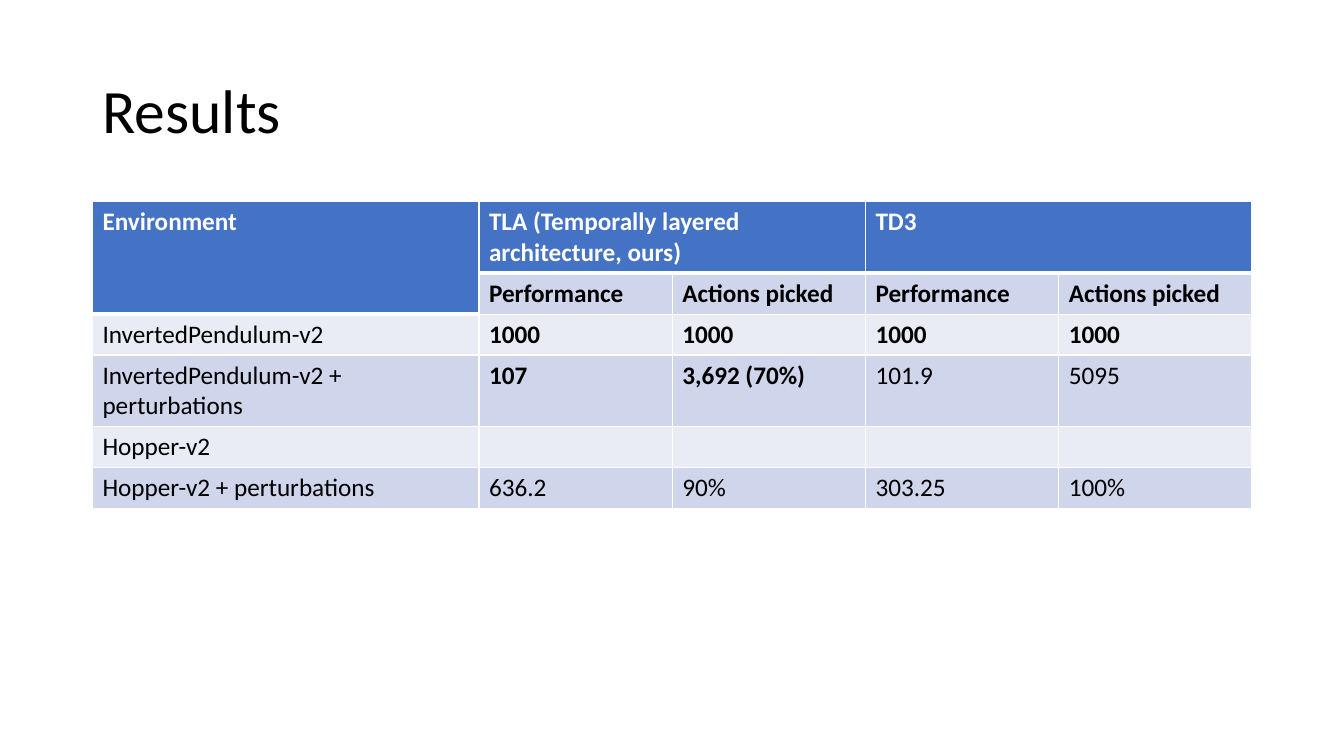
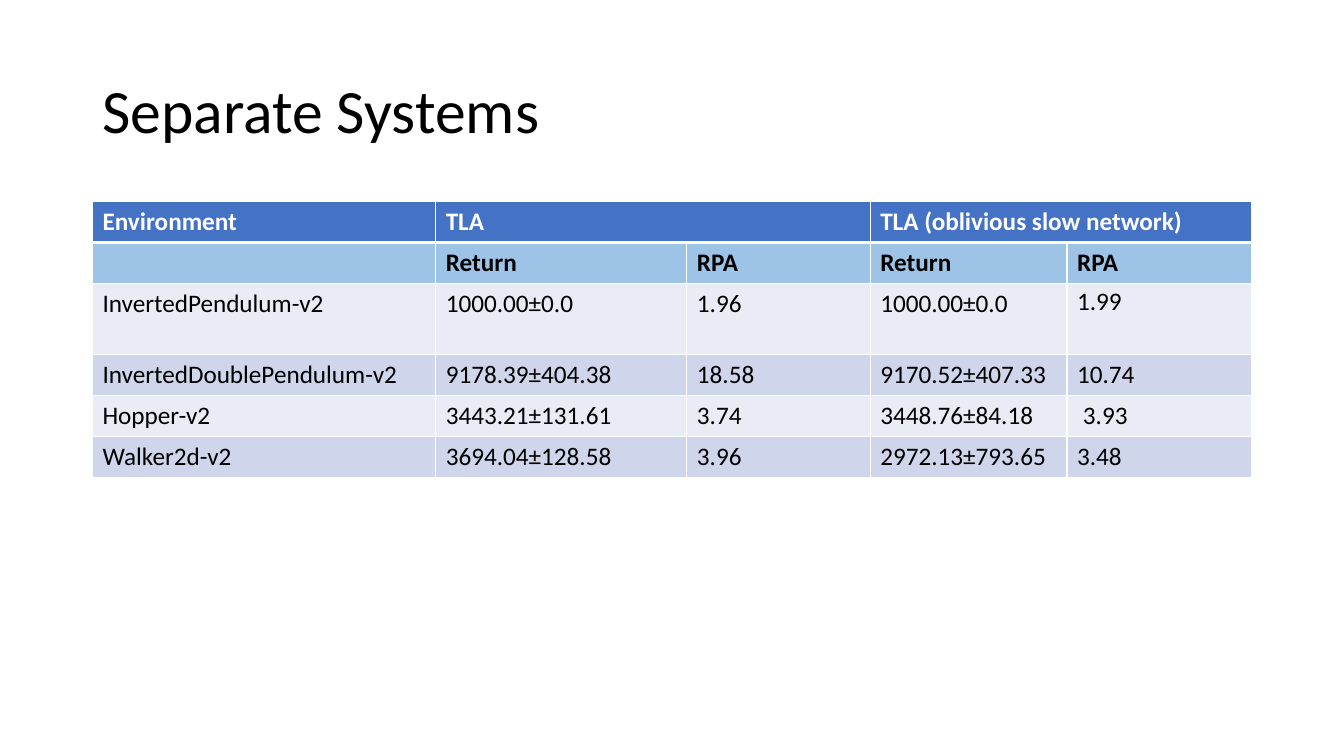
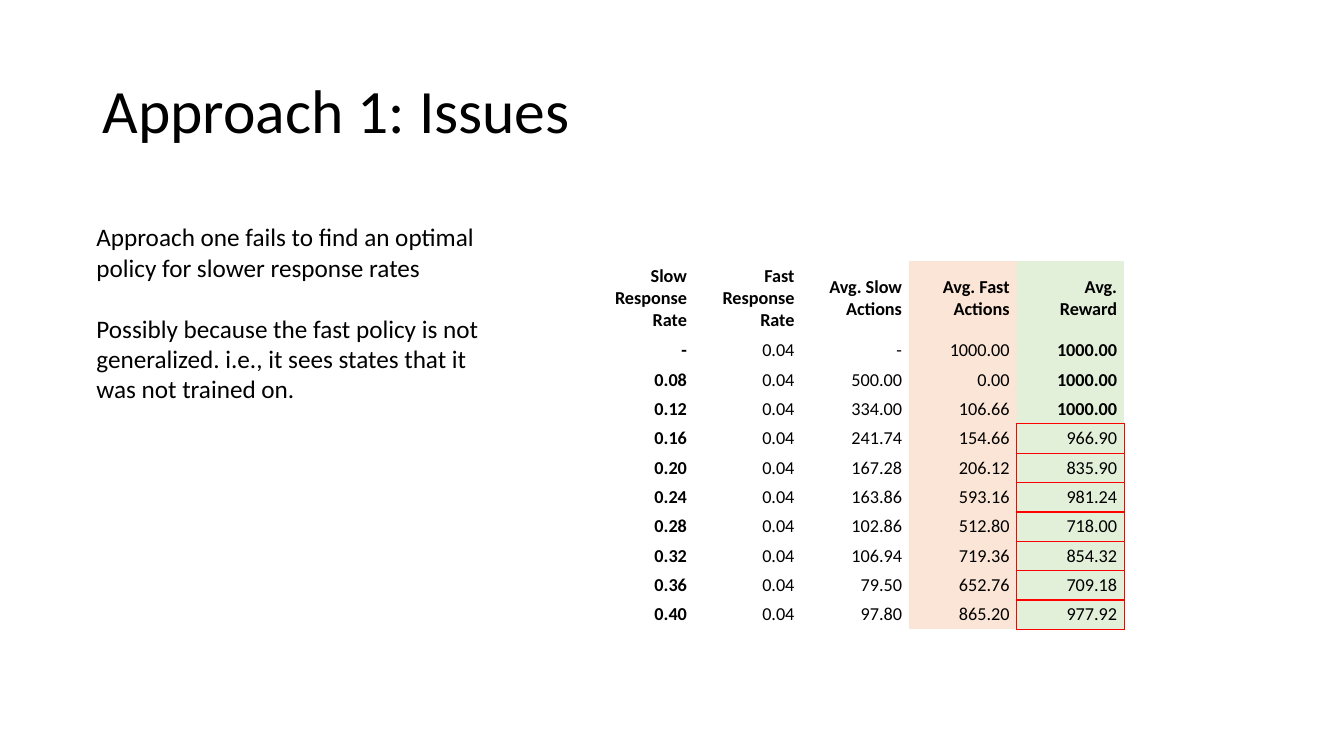
from dataclasses import dataclass

from lxml.etree import SubElement
from pptx import Presentation
from pptx.dml.color import RGBColor
from pptx.enum.text import MSO_ANCHOR, MSO_AUTO_SIZE, PP_ALIGN
from pptx.oxml.ns import qn
from pptx.util import Cm, Pt


@dataclass(frozen=True)
class Theme:
    font: str = "Calibri"
    title_size: int = 44
    body_size: int = 18
    small_size: int = 13
    black: str = "000000"
    white: str = "FFFFFF"
    header: str = "4472C4"
    subheader: str = "9DC3E6"
    bands: tuple = ("E9EBF5", "CFD5EA")
    orange: str = "FBE5D6"
    green: str = "E2F0D9"
    red: str = "FF0000"


THEME = Theme()
CONTENT_LEFT, CONTENT_TOP = 2.33, 5.08
NO_STYLE_TABLE = "{2D5ABB26-0587-4C30-8999-92F81FD0307C}"


def write(paragraph, text, size=THEME.body_size, color=THEME.black, bold=False,
          align=PP_ALIGN.LEFT, line_spacing=None, space_before=0):
    paragraph.alignment = align
    paragraph.space_before = Pt(space_before)
    if line_spacing:
        paragraph.line_spacing = line_spacing
    if text:
        run = paragraph.add_run()
        run.text = text
        run.font.name = THEME.font
        run.font.size = Pt(size)
        run.font.bold = bold
        run.font.color.rgb = RGBColor.from_string(color)


def set_borders(cell, borders):
    """Draw cell sides given as {side: (color, points)}."""
    properties = cell._tc.get_or_add_tcPr()
    for side in "LRTB":
        if side in borders:
            color, width = borders[side]
            line = SubElement(properties, qn(f"a:ln{side}"), w=str(Pt(width)))
            fill = SubElement(line, qn("a:solidFill"))
            SubElement(fill, qn("a:srgbClr"), val=color)


class Deck:
    def __init__(self):
        self.presentation = Presentation()
        self.presentation.slide_width = Cm(33.87)
        self.presentation.slide_height = Cm(19.05)
        self.slide = None

    def add_slide(self, title):
        layout = self.presentation.slide_layouts.get_by_name("Title Only")
        self.slide = self.presentation.slides.add_slide(layout)
        shape = self.slide.shapes.title
        shape.left, shape.top = Cm(CONTENT_LEFT), Cm(1.01)
        shape.width, shape.height = Cm(29.21), Cm(3.68)
        frame = shape.text_frame
        frame.auto_size = MSO_AUTO_SIZE.NONE
        frame.vertical_anchor = MSO_ANCHOR.MIDDLE
        write(frame.paragraphs[0], title, size=THEME.title_size, line_spacing=0.9)

    def add_text(self, paragraphs, left, top, width, height, gap):
        frame = self.slide.shapes.add_textbox(
            Cm(left), Cm(top), Cm(width), Cm(height)).text_frame
        frame.word_wrap = True
        for index, text in enumerate(paragraphs):
            paragraph = frame.add_paragraph() if index else frame.paragraphs[0]
            write(paragraph, text, space_before=gap if index else 0)

    def add_table(self, rows, left, top, widths, heights, cell_style, merges=()):
        """Add a table; cell_style(row, column) gives fill, borders and text format."""
        table = self.slide.shapes.add_table(
            len(rows), len(widths), Cm(left), Cm(top),
            Cm(sum(widths)), Cm(sum(heights))).table
        table._tbl.tblPr.find(qn("a:tableStyleId")).text = NO_STYLE_TABLE
        table.first_row = table.horz_banding = False
        for column, width in zip(table.columns, widths):
            column.width = Cm(width)
        for row, height in zip(table.rows, heights):
            row.height = Cm(height)
        for first, last in merges:
            table.cell(*first).merge(table.cell(*last))
        for row, texts in enumerate(rows):
            for column, text in enumerate(texts):
                cell = table.cell(row, column)
                fill, borders, text_format = cell_style(row, column)
                set_borders(cell, borders)
                cell.fill.solid()
                cell.fill.fore_color.rgb = RGBColor.from_string(fill)
                write(cell.text_frame.paragraphs[0], text, **text_format)
        return table


def banded_style(is_header, is_bold, subheader):
    """Return a cell style with a blue header, a second header row and bands."""
    def style(row, column):
        header = is_header(row, column)
        borders = {side: (THEME.white, 1) for side in "LR"}
        borders["B"] = (THEME.white, 3 if header else 1)
        if row == 0:
            borders["T"] = (THEME.white, 1)
        if header:
            fill = THEME.header
        else:
            fill = subheader if row == 1 else THEME.bands[row % 2]
        return fill, borders, {
            "bold": header or is_bold(row, column),
            "color": THEME.white if header else THEME.black}
    return style


def response_style(row, column):
    fill = {3: THEME.orange, 4: THEME.green}.get(column, THEME.white)
    red_line = (THEME.red, 1)
    borders = {}
    if column == 4 and row >= 4:
        borders = {side: red_line for side in "LRTB"}
    elif column == 4 and row == 3:
        borders = {"B": red_line}
    elif column == 3 and row >= 4:
        borders = {"R": red_line}
    bold = row == 0 or column == 0 or (column == 4 and row <= 3)
    return fill, borders, {"size": THEME.small_size, "bold": bold,
                           "align": PP_ALIGN.RIGHT}


def add_results(deck):
    deck.add_slide("Results")
    rows = [
        ["Environment", "TLA (Temporally layered architecture, ours)", "", "TD3", ""],
        ["", *["Performance", "Actions picked"] * 2],
        ["InvertedPendulum-v2", *["1000"] * 4],
        ["InvertedPendulum-v2 + perturbations", "107", "3,692 (70%)", "101.9", "5095"],
        ["Hopper-v2", *[""] * 4],
        ["Hopper-v2 + perturbations", "636.2", "90%", "303.25", "100%"],
    ]
    last_bold_column = {1: 4, 2: 4, 3: 2}
    style = banded_style(
        is_header=lambda row, column: row == 0 or (row == 1 and column == 0),
        is_bold=lambda row, column: 0 < column <= last_bold_column.get(row, 0),
        subheader=THEME.bands[1])
    deck.add_table(rows, CONTENT_LEFT, CONTENT_TOP, [9.74] + [4.87] * 4,
                   [1.78, 1.03, 1.03, 1.8, 1.03, 1.03], style,
                   merges=[((0, 0), (1, 0)), ((0, 1), (0, 2)), ((0, 3), (0, 4))])


def add_separate_systems(deck):
    deck.add_slide("Separate Systems")
    rows = [
        ["Environment", "TLA", "", "TLA (oblivious slow network)", ""],
        ["", *["Return", "RPA"] * 2],
        ["InvertedPendulum-v2", "1000.00±0.0", "1.96", "1000.00±0.0", "1.99"],
        ["InvertedDoublePendulum-v2", "9178.39±404.38", "18.58",
         "9170.52±407.33", "10.74"],
        ["Hopper-v2", "3443.21±131.61", "3.74", "3448.76±84.18", "3.93"],
        ["Walker2d-v2", "3694.04±128.58", "3.96", "2972.13±793.65", "3.48"],
    ]
    style = banded_style(
        is_header=lambda row, column: row == 0,
        is_bold=lambda row, column: row == 1,
        subheader=THEME.subheader)
    table = deck.add_table(rows, CONTENT_LEFT, CONTENT_TOP,
                           [8.65, 6.33, 4.62, 4.96, 4.64],
                           [1.03, 1.03, 1.8, 1.03, 1.03, 1.03], style,
                           merges=[((0, 1), (0, 2)), ((0, 3), (0, 4))])
    table.cell(2, 4).text_frame.paragraphs[0].line_spacing = 0.9
    table.cell(4, 4).margin_left = Cm(0.4)


def add_issues(deck):
    deck.add_slide("Approach 1: Issues")
    measurements = [
        ("-", "-", "1000.00", "1000.00"),
        ("0.08", "500.00", "0.00", "1000.00"),
        ("0.12", "334.00", "106.66", "1000.00"),
        ("0.16", "241.74", "154.66", "966.90"),
        ("0.20", "167.28", "206.12", "835.90"),
        ("0.24", "163.86", "593.16", "981.24"),
        ("0.28", "102.86", "512.80", "718.00"),
        ("0.32", "106.94", "719.36", "854.32"),
        ("0.36", "79.50", "652.76", "709.18"),
        ("0.40", "97.80", "865.20", "977.92"),
    ]
    rows = [["Slow Response Rate", "Fast Response Rate", "Avg. Slow Actions",
             "Avg. Fast Actions", "Avg. Reward"]]
    rows += [[slow_rate, "0.04", *values] for slow_rate, *values in measurements]
    table = deck.add_table(rows, 14.78, 6.58, [2.71] * 5,
                           [1.88] + [0.74] * len(measurements), response_style)
    for cell in table.iter_cells():
        cell.vertical_anchor = MSO_ANCHOR.MIDDLE
        cell.margin_left = cell.margin_right = Cm(0.18)
        cell.margin_top = cell.margin_bottom = Cm(0.09)
    deck.add_text(
        ["Approach one fails to find an optimal policy for slower response rates",
         "Possibly because the fast policy is not generalized. i.e., it sees states "
         "that it was not trained on."],
        left=2.18, top=5.46, width=10.16, height=4.88, gap=22)


def main():
    deck = Deck()
    add_results(deck)
    add_separate_systems(deck)
    add_issues(deck)
    deck.presentation.save("out.pptx")


if __name__ == "__main__":
    main()
